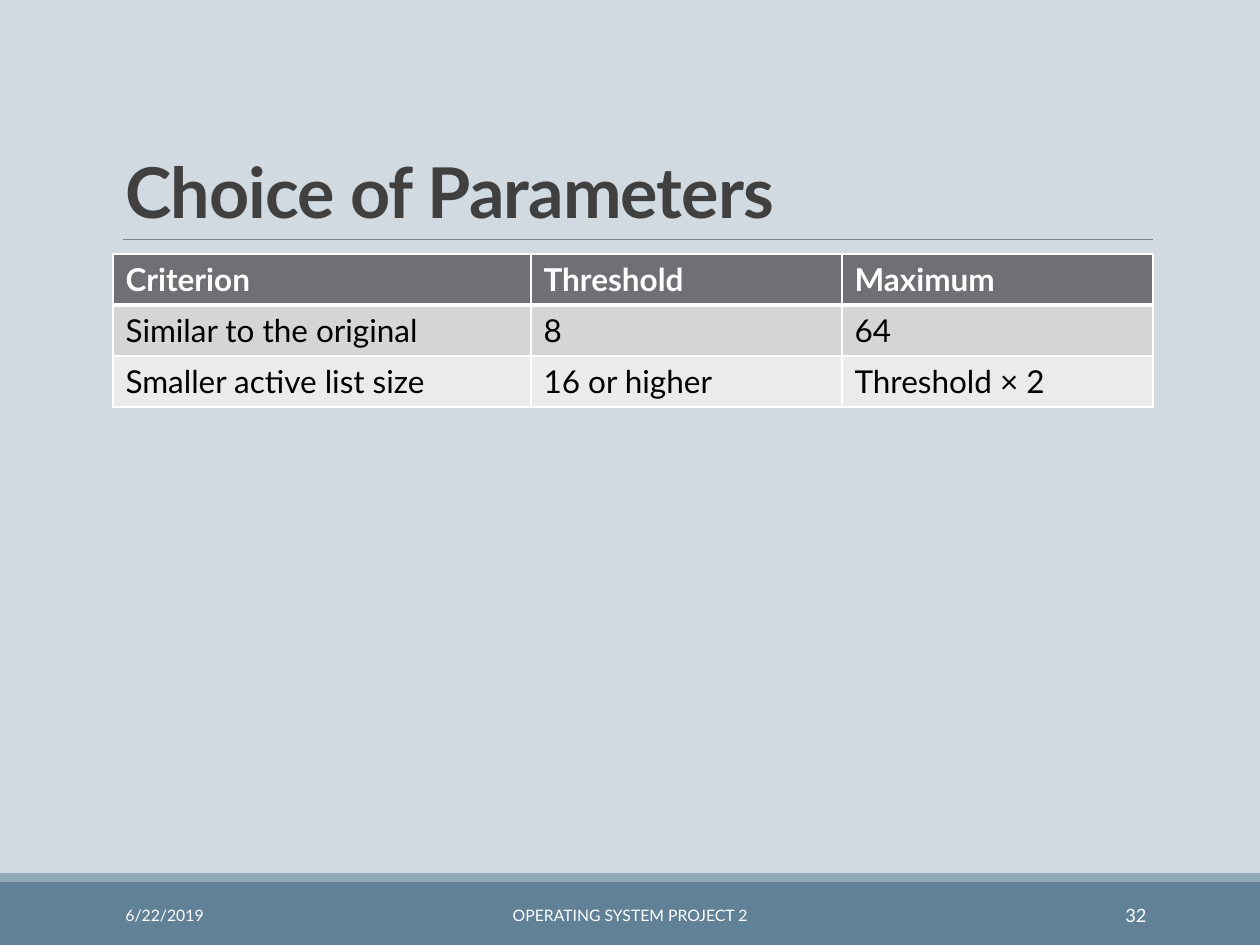
from lxml import etree
from pptx import Presentation
from pptx.dml.color import RGBColor
from pptx.enum.shapes import MSO_CONNECTOR, MSO_SHAPE
from pptx.enum.text import MSO_ANCHOR, PP_ALIGN
from pptx.oxml.ns import qn
from pptx.util import Emu, Pt

STRAIGHT = MSO_CONNECTOR.STRAIGHT
RECTANGLE = MSO_SHAPE.RECTANGLE
BOTTOM, MIDDLE = MSO_ANCHOR.BOTTOM, MSO_ANCHOR.MIDDLE
LEFT, CENTER, RIGHT = PP_ALIGN.LEFT, PP_ALIGN.CENTER, PP_ALIGN.RIGHT

EMU_PER_PX = 914400 / 126
FONT = "Lato"
COLORS = {
    "background": "D1D9E1",
    "footer": "618197",
    "stripe": "92A9B9",
    "rule": "808080",
    "title": "404040",
    "header": "6F6F74",
    "odd_row": "D5D5D6",
    "even_row": "EBEBEB",
    "white": "FFFFFF",
    "black": "000000",
}
COLUMN_WIDTHS = [418, 311, 311]
ROW_HEIGHT = 51
ROWS = [
    ("Criterion", "Threshold", "Maximum"),
    ("Similar to the original", "8", "64"),
    ("Smaller active list size", "16 or higher", "Threshold × 2"),
]
FOOTERS = [
    ("6/22/2019", (113, 890, 256, 50), 9, LEFT),
    ("OPERATING SYSTEM PROJECT 2", (381, 890, 498, 50), 9, CENTER),
    ("32", (1023, 890, 136, 50), 10.5, RIGHT),
]


def px(length):
    return Emu(round(length * EMU_PER_PX))


def color(name):
    return RGBColor.from_string(COLORS[name])


def set_fill(target, name):
    target.fill.solid()
    target.fill.fore_color.rgb = color(name)


def write_text(frame, text, size, color_name, bold=False, align=LEFT):
    para = frame.paragraphs[0]
    para.alignment = align
    span = para.add_run()
    span.text = text
    for name, value in {"name": FONT, "size": Pt(size), "bold": bold}.items():
        setattr(span.font, name, value)
    span.font.color.rgb = color(color_name)
    return para, span


def add_band(page, top, height, fill):
    band = page.shapes.add_shape(RECTANGLE, 0, px(top), px(1260), px(height))
    band.shadow.inherit = False
    set_fill(band, fill)
    band.line.fill.background()


def add_rule(page, left, right, top):
    rule = page.shapes.add_connector(STRAIGHT, px(left), px(top), px(right), px(top))
    rule.line.color.rgb = color("rule")
    rule.line.width = Pt(0.5)
    etree.SubElement(rule._element.spPr, qn("a:effectLst"))


def add_title(page, text):
    title = page.shapes.title
    bounds = {"left": 113, "top": 39, "width": 1040, "height": 200}
    for name, value in bounds.items():
        setattr(title, name, px(value))
    title.text_frame.vertical_anchor = BOTTOM
    para, span = write_text(title.text_frame, text, 40, "title", bold=True)
    para.line_spacing = 0.85
    span.font._element.set("spc", "-50")


def set_borders(cell, bottom_width):
    properties = cell._tc.get_or_add_tcPr()
    widths = {"lnL": 1, "lnR": 1, "lnT": 1, "lnB": bottom_width}
    for position, (tag, width) in enumerate(widths.items()):
        border = etree.Element(qn(f"a:{tag}"), w=str(Pt(width)))
        fill = etree.SubElement(border, qn("a:solidFill"))
        etree.SubElement(fill, qn("a:srgbClr"), val=COLORS["white"])
        properties.insert(position, border)


def add_parameter_table(page):
    frame = page.shapes.add_table(
        len(ROWS), len(COLUMN_WIDTHS), px(113), px(254),
        px(sum(COLUMN_WIDTHS)), px(ROW_HEIGHT * len(ROWS)),
    )
    table = frame.table
    for column, width in zip(table.columns, COLUMN_WIDTHS):
        column.width = px(width)
    fills = ["header", "odd_row", "even_row"]
    for row_index, (texts, fill) in enumerate(zip(ROWS, fills)):
        is_header = row_index == 0
        table.rows[row_index].height = px(ROW_HEIGHT)
        for column_index, text in enumerate(texts):
            cell = table.cell(row_index, column_index)
            set_fill(cell, fill)
            set_borders(cell, 3 if is_header else 1)
            if row_index == 1:
                top_border = cell._tc.tcPr.find(qn("a:lnT"))
                top_border.set("w", str(Pt(3)))
            write_text(cell.text_frame, text, 18,
                       "white" if is_header else "black", bold=is_header)


def add_footer(page, text, bounds, size, align):
    box = page.shapes.add_textbox(*map(px, bounds))
    box.text_frame.word_wrap = True
    box.text_frame.vertical_anchor = MIDDLE
    write_text(box.text_frame, text, size, "white", align=align)


def main():
    deck = Presentation()
    deck.slide_width, deck.slide_height = px(1260), px(945)
    page = deck.slides.add_slide(deck.slide_layouts[5])
    set_fill(page.background, "background")
    add_band(page, 882, 63, "footer")
    add_band(page, 873, 9, "stripe")
    add_rule(page, 123, 1153, 239)
    add_title(page, "Choice of Parameters")
    add_parameter_table(page)
    for footer in FOOTERS:
        add_footer(page, *footer)
    deck.save("out.pptx")


if __name__ == "__main__":
    main()
